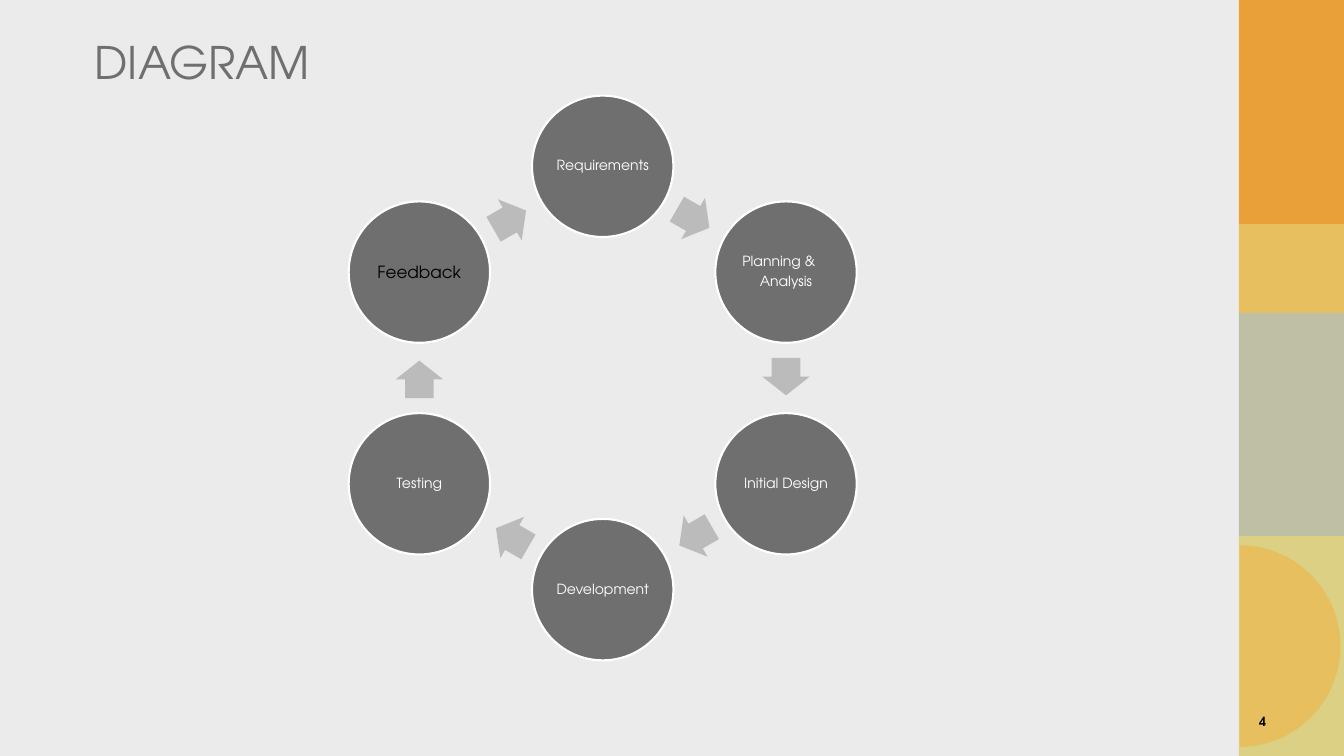
from math import cos, pi, radians, sin

from pptx import Presentation
from pptx.dml.color import RGBColor
from pptx.enum.shapes import MSO_SHAPE
from pptx.enum.text import MSO_ANCHOR, PP_ALIGN
from pptx.util import Pt

BACKGROUND = RGBColor(0xEB, 0xEB, 0xEB)
GRAY = RGBColor(0x6F, 0x6F, 0x6F)
ARROW_GRAY = RGBColor(0xBB, 0xBB, 0xBB)
WHITE = RGBColor(0xFF, 0xFF, 0xFF)
BLACK = RGBColor(0x00, 0x00, 0x00)
ORANGE = RGBColor(0xE9, 0xA0, 0x39)
GOLD = RGBColor(0xE7, 0xBF, 0x5F)
SAGE = RGBColor(0xBF, 0xBF, 0xA5)
LIME = RGBColor(0xDC, 0xD0, 0x84)

BANDS = [(ORANGE, 0, 160), (GOLD, 160, 223.5), (SAGE, 223.5, 383), (LIME, 383, 540)]
STAGE_FORMAT = {"line_spacing": 0.9, "space_after": Pt(3.5)}
STAGES = [
    ["Requirements"],
    ["Planning &", "Analysis"],
    ["Initial Design"],
    ["Development"],
    ["Testing"],
    ["Feedback"],
]
CENTER_X, CENTER_Y = 430.5, 270
RING_RADIUS = 151.2
CIRCLE_SIZE = 101
ARROW_WIDTH, ARROW_HEIGHT = 26.8, 34
ARROW_SETBACK = 1


class SlideBuilder:
    font_name = "TeX Gyre Adventor"

    def __init__(self, slide):
        self.slide = slide
        self.shapes = slide.shapes

    def background(self, color):
        fill = self.slide.background.fill
        fill.solid()
        fill.fore_color.rgb = color

    def paint(self, shape, fill, line=None):
        shape.shadow.inherit = False
        shape.fill.solid()
        shape.fill.fore_color.rgb = fill
        if line is None:
            shape.line.fill.background()
        else:
            shape.line.color.rgb = line
            shape.line.width = Pt(1.5)
        return shape

    def shape(self, kind, left, top, width, height, fill, line=None):
        shape = self.shapes.add_shape(kind, Pt(left), Pt(top), Pt(width), Pt(height))
        return self.paint(shape, fill, line)

    def half_circle(self, left, middle, radius, fill, steps=90):
        angles = [-pi / 2 + pi * step / steps for step in range(steps + 1)]
        points = [
            (Pt(left + radius * cos(angle)), Pt(middle + radius * sin(angle)))
            for angle in angles
        ]
        builder = self.shapes.build_freeform(*points[0])
        builder.add_line_segments(points[1:], close=True)
        return self.paint(builder.convert_to_shape(), fill)

    def fill_text(self, frame, lines, size, color, bold=False, **paragraph_format):
        frame.word_wrap = True
        for index, line in enumerate(lines):
            para = frame.paragraphs[0] if index == 0 else frame.add_paragraph()
            span = para.add_run()
            span.text = line
            for name, value in paragraph_format.items():
                setattr(para, name, value)
            font_format = {"name": self.font_name, "size": Pt(size), "bold": bold}
            for name, value in font_format.items():
                setattr(span.font, name, value)
            span.font.color.rgb = color

    def text(self, left, top, width, height, line, size, color, anchor, **format_values):
        box = self.shapes.add_textbox(Pt(left), Pt(top), Pt(width), Pt(height))
        box.text_frame.vertical_anchor = anchor
        self.fill_text(box.text_frame, [line], size, color, **format_values)

    def stage(self, x, y, lines, size, color, **paragraph_format):
        circle = self.shape(
            MSO_SHAPE.OVAL, x - CIRCLE_SIZE / 2, y - CIRCLE_SIZE / 2,
            CIRCLE_SIZE, CIRCLE_SIZE, GRAY, WHITE,
        )
        frame = circle.text_frame
        frame.vertical_anchor = MSO_ANCHOR.MIDDLE
        for side in ("left", "top", "right", "bottom"):
            setattr(frame, f"margin_{side}", Pt(0.9))
        self.fill_text(frame, lines, size, color, alignment=PP_ALIGN.CENTER, **paragraph_format)
        return circle

    def arrow(self, x, y, rotation):
        arrow = self.shape(
            MSO_SHAPE.RIGHT_ARROW, x - ARROW_WIDTH / 2, y - ARROW_HEIGHT / 2,
            ARROW_WIDTH, ARROW_HEIGHT, ARROW_GRAY,
        )
        arrow.adjustments[0] = 0.6
        arrow.adjustments[1] = 0.5
        arrow.rotation = rotation


def main():
    deck = Presentation()
    deck.slide_width, deck.slide_height = Pt(960), Pt(540)
    page = SlideBuilder(deck.slides.add_slide(deck.slide_layouts[6]))
    page.background(BACKGROUND)

    for color, top, bottom in BANDS:
        page.shape(MSO_SHAPE.RECTANGLE, 885, top, 75, bottom - top, color)
    page.half_circle(885.5, 461.5, 72, GOLD)

    page.text(60.5, 21, 739.5, 107, "DIAGRAM", 32, GRAY, MSO_ANCHOR.TOP)
    page.text(
        875.5, 500.5, 36, 29, "4", 9, BLACK, MSO_ANCHOR.MIDDLE,
        bold=True, alignment=PP_ALIGN.RIGHT,
    )

    step = 360 / len(STAGES)
    middle_radius = RING_RADIUS * cos(radians(step / 2))
    for index, lines in enumerate(STAGES):
        angle = radians(index * step - 90)
        x = CENTER_X + RING_RADIUS * cos(angle)
        y = CENTER_Y + RING_RADIUS * sin(angle)
        if lines == ["Feedback"]:
            page.stage(x, y, lines, 12, BLACK)
        else:
            circle = page.stage(x, y, lines, 10, WHITE, **STAGE_FORMAT)
            if len(lines) > 1:
                first = circle.text_frame.paragraphs[0]
                first.alignment = PP_ALIGN.LEFT
                first._p.get_or_add_pPr().set("marL", str(Pt(3.7)))

        rotation = (index + 0.5) * step
        middle_angle = radians(rotation - 90)
        heading = radians(rotation)
        page.arrow(
            CENTER_X + middle_radius * cos(middle_angle) - ARROW_SETBACK * cos(heading),
            CENTER_Y + middle_radius * sin(middle_angle) - ARROW_SETBACK * sin(heading),
            rotation,
        )

    deck.save("out.pptx")


if __name__ == "__main__":
    main()
